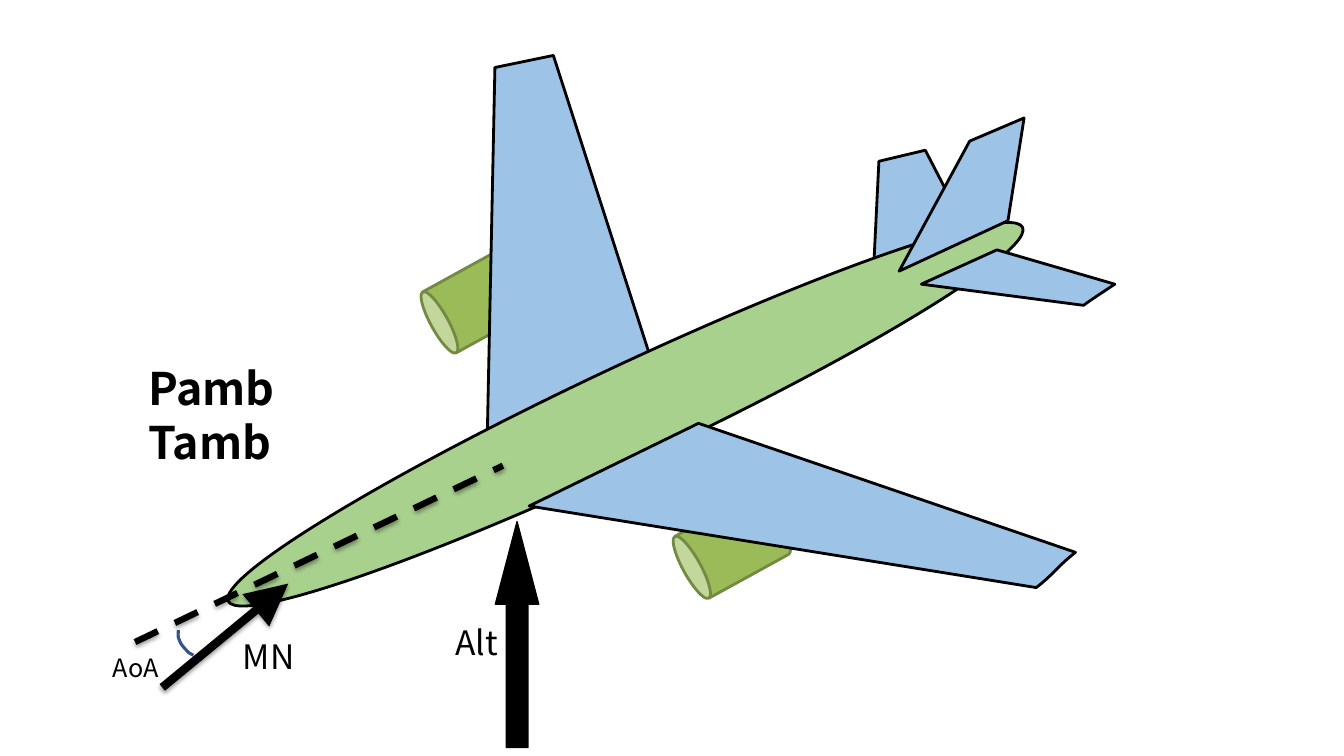
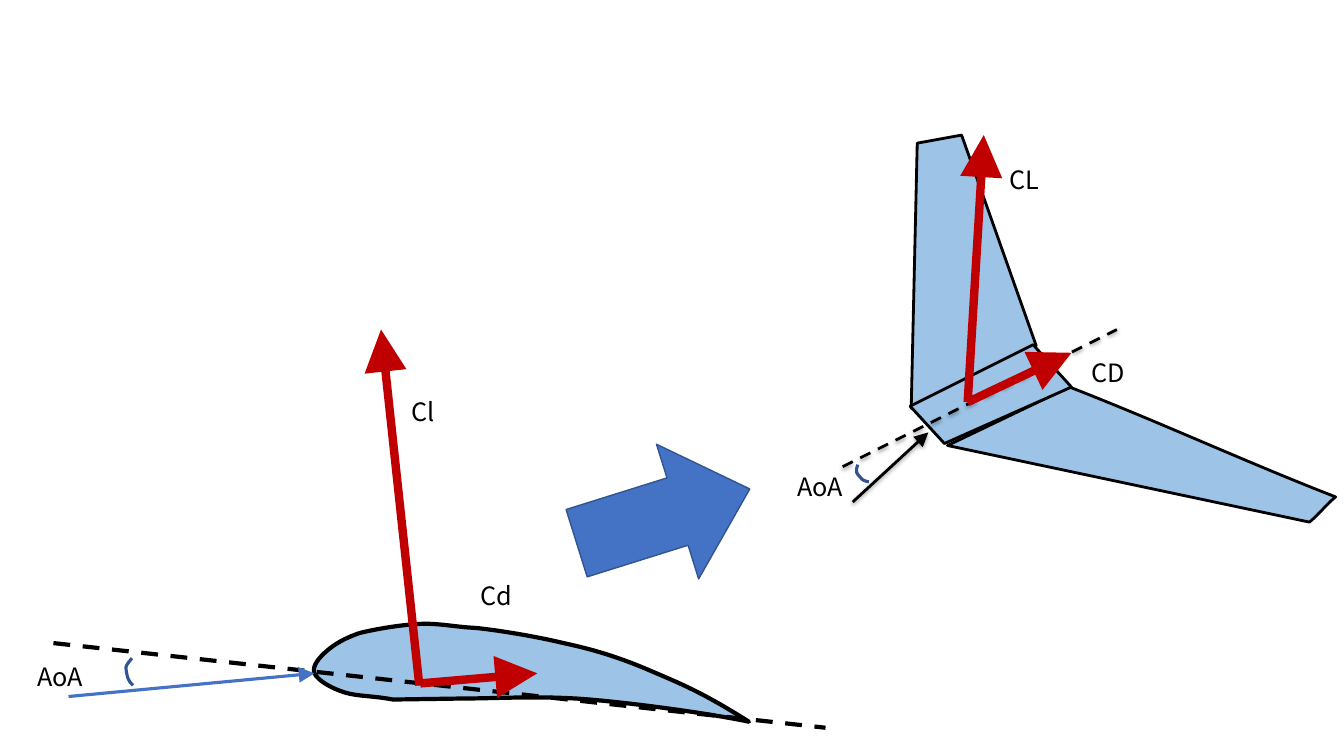
import math

from pptx import Presentation, util as u
from pptx.dml.color import RGBColor
from pptx.enum import dml, shapes, text
from pptx.oxml import parse_xml
from pptx.oxml.ns import nsdecls

FONT = "Noto Sans CJK JP"
BLACK, SKY, GRASS, LEAF, OLIVE = "000000", "9DC3E6", "A9D18E", "9BBB59", "738A42"
BLUE, NAVY, RED = "4472C4", "325491", "C00000"
CAN, OVAL = shapes.MSO_SHAPE.CAN, shapes.MSO_SHAPE.OVAL
ARROW = shapes.MSO_SHAPE.RIGHT_ARROW
UNIT = 1000  # outline units in an inch


def rgb(code):
    """Turn a hex string into a colour."""
    return RGBColor.from_string(code)


def paint(item, fill, line, width):
    """Set fill and outline, and drop the shadow."""
    if fill:
        item.fill.solid()
        item.fill.fore_color.rgb = rgb(fill)
    else:
        item.fill.background()
    item.line.color.rgb = rgb(line)
    item.line.width = u.Pt(width)
    item.shadow.inherit = False


def solid(page, kind, box, turn=0, fill=LEAF, line=BLACK, width=2, adj=()):
    """Add a preset shape, turned by some degrees."""
    item = page.shapes.add_shape(kind, *map(u.Inches, box))
    item.rotation = turn
    for i, value in enumerate(adj):
        item.adjustments[i] = value
    paint(item, fill, line, width)


def spin(point, turn):
    """Turn a point clockwise about the slide's corner."""
    (x, y), a = point, math.radians(turn)
    return x * math.cos(a) - y * math.sin(a), x * math.sin(a) + y * math.cos(a)


def bend(item, parts, left, top):
    """Make a curve of each segment that has three points."""
    for seg, part in zip(item._element.xpath(".//a:lnTo"), parts):
        if len(part) == 3:
            dots = "".join(f'<a:pt x="{round(x * UNIT - left)}" '
                           f'y="{round(y * UNIT - top)}"/>' for x, y in part)
            seg.getparent().replace(seg, parse_xml(
                f'<a:cubicBezTo {nsdecls("a")}>{dots}</a:cubicBezTo>'))


def outline(page, path, turn=0, fill=SKY, line=BLACK, width=2):
    """Add an outline of points and six-number curves, in a frame that is turned.

    The path tells where the outline shows; without a fill it stays open."""
    if fill and path[-1][-2:] != path[0]:
        path = path + path[:1]
    parts = [[spin(part[i:i + 2], -turn) for i in range(0, len(part), 2)]
             for part in path]
    ends = [tuple(round(v * UNIT) for v in part[-1]) for part in parts]
    pen = page.shapes.build_freeform(*ends[0], scale=u.Inches(1) / UNIT)
    pen.add_line_segments(ends[1:], close=bool(fill))
    item = pen.convert_to_shape()
    bend(item, parts[1:], *map(min, zip(*ends)))
    mid = spin((item.left + item.width / 2, item.top + item.height / 2), turn)
    item.left = round(mid[0] - item.width / 2)
    item.top = round(mid[1] - item.height / 2)
    item.rotation = turn
    paint(item, fill, line, width)


def arc(page, path, turn=0):
    """Add the open curve that marks an angle."""
    outline(page, path, turn, fill=None, line=NAVY, width=2.25)


def ray(page, start, end, color=BLACK, width=2, dash=False, head=True, shade=False):
    """Add a straight line, with an arrowhead unless told otherwise."""
    item = page.shapes.add_connector(shapes.MSO_CONNECTOR.STRAIGHT,
                                     *map(u.Inches, start + end))
    item.line.color.rgb = rgb(color)
    item.line.width = u.Pt(width)
    if dash:
        item.line.dash_style = dml.MSO_LINE.DASH
    if head:
        item.line._get_or_add_ln().append(parse_xml(
            f'<a:tailEnd {nsdecls("a")} type="triangle" w="lg" len="lg"/>'))
    glow = ('<a:outerShdw blurRad="40000" dist="20000" dir="5400000" rotWithShape="0">'
            '<a:srgbClr val="000000"><a:alpha val="38000"/></a:srgbClr>'
            '</a:outerShdw>') if shade else ""
    item._element.spPr.append(
        parse_xml(f'<a:effectLst {nsdecls("a")}>{glow}</a:effectLst>'))


def label(page, words, box, size=18, bold=False):
    """Add a text box, one paragraph for each line of words."""
    frame = page.shapes.add_textbox(*map(u.Inches, box)).text_frame
    frame.word_wrap = True
    frame.auto_size = text.MSO_AUTO_SIZE.SHAPE_TO_FIT_TEXT
    frame.text = words
    for para in frame.paragraphs:
        font = para.runs[0].font
        font.name, font.size, font.bold = FONT, u.Pt(size), bold
        font.color.rgb = rgb(BLACK)


# Each part: the function, its values, its format; listed from back to front.
ENGINE = dict(turn=241.2, line=OLIVE)
FORCE = dict(color=RED, width=6)
NEAR = dict(turn=52.5)
TILT = dict(turn=331.5)

PLANE = [
    (solid, (CAN, (4.43, 2.41, 0.69, 1.12)), ENGINE),
    (solid, (CAN, (6.91, 4.87, 0.7, 1.08)), ENGINE),
    (outline, ([(4.91, 0.67), (5.49, 0.55), (6.48, 3.63), (4.83, 4.53)],), {}),
    (outline, ([(8.72, 1.6), (9.18, 1.49), (9.63, 2.36), (8.67, 2.61)],), {}),
    (solid, (OVAL, (1.85, 3.64, 8.71, 0.94)), dict(turn=334.8, fill=GRASS)),
    (outline, ([(9.62, 1.4), (10.16, 1.17), (10, 2.19), (8.92, 2.69)],), {}),
    (outline, ([(6.93, 4.2), (10.67, 5.48), (10.5, 5.61, 10.45, 5.7, 10.28, 5.83),
                (5.25, 5.02)],), NEAR),
    (outline, ([(9.89, 2.48), (11.06, 2.82), (11, 2.86, 10.8, 2.99, 10.75, 3.03),
                (9.14, 2.82)],), NEAR),
    (ray, ((1.34, 6.37), (4.99, 4.62)),
     dict(width=4.5, dash=True, head=False, shade=True)),
    (ray, ((1.61, 6.82), (2.86, 5.79)), dict(width=6, shade=True)),
    (label, ("AoA", (1.02, 6.42, 0.9, 0.4)), {}),
    (arc, ([(1.77, 6.25), (1.77, 6.28, 1.76, 6.32, 1.78, 6.35),
            (1.79, 6.39, 1.83, 6.43, 1.85, 6.45),
            (1.87, 6.48, 1.9, 6.49, 1.92, 6.5)],), TILT),
    (label, ("MN", (2.31, 6.26, 0.92, 0.5)), dict(size=24)),
    (solid, (ARROW, (4.01, 6.08, 2.24, 0.43)),
     dict(turn=270, fill=BLACK, width=1, adj=(0.5, 1.904))),
    (label, ("Alt", (4.42, 6.12, 0.92, 0.5)), dict(size=24)),
    (label, ("Pamb\nTamb", (1.37, 3.53, 1.82, 1.18)), dict(size=32, bold=True)),
]

WING = [
    (outline, ([(9.1, 1.42), (9.54, 1.34), (10.28, 3.43), (9.04, 4.05)],), {}),
    (outline, ([(10.61, 3.84), (11.51, 4.19, 12.35, 4.58, 13.25, 4.93),
                (13.14, 5.02, 13.1, 5.09, 12.99, 5.18), (9.4, 4.42)],), NEAR),
    (ray, ((8.46, 4.98), (9.21, 4.29)), dict(shade=True)),
    (outline, ([(9.03, 4.03), (10.25, 3.42), (10.63, 3.84), (9.37, 4.4)],), {}),
    (ray, ((8.36, 4.63), (11.08, 3.27)), dict(dash=True, head=False, shade=True)),
    (label, ("AoA", (7.81, 4.63, 0.9, 0.4)), {}),
    (arc, ([(8.51, 4.61), (8.5, 4.64, 8.49, 4.67, 8.5, 4.69),
            (8.51, 4.71, 8.54, 4.74, 8.56, 4.76),
            (8.58, 4.77, 8.6, 4.78, 8.62, 4.78)],), TILT),
    (ray, ((9.6, 3.99), (9.76, 1.34)), FORCE),
    (ray, ((9.6, 3.99), (10.63, 3.5)), FORCE),
    (label, ("CL", (9.92, 1.58, 0.61, 0.4)), {}),
    (label, ("CD", (10.73, 3.5, 0.66, 0.4)), {}),
    (outline, ([(3.12, 6.68), (3.09, 6.61, 3.17, 6.52, 3.24, 6.46),
                (3.32, 6.39, 3.42, 6.33, 3.57, 6.28),
                (3.73, 6.24, 3.97, 6.2, 4.16, 6.19),
                (4.35, 6.18, 4.51, 6.22, 4.72, 6.23),
                (4.92, 6.25, 5.3, 6.31, 5.59, 6.38),
                (5.87, 6.44, 6.11, 6.51, 6.42, 6.64),
                (6.72, 6.77, 6.94, 6.85, 7.43, 7.16),
                (7.05, 7.08, 6.32, 6.98, 5.85, 6.94),
                (5.38, 6.9, 4.93, 6.93, 4.6, 6.93), (3.9, 6.94),
                (3.68, 6.9, 3.55, 6.91, 3.42, 6.87),
                (3.29, 6.83, 3.15, 6.75, 3.12, 6.68)],), dict(width=3)),
    (ray, ((0.53, 6.38), (8.19, 7.22)), dict(width=3, dash=True, head=False)),
    (ray, ((0.68, 6.91), (3.12, 6.68)), dict(color=BLUE, width=2.25)),
    (ray, ((4.16, 6.8), (3.78, 3.27)), FORCE),
    (ray, ((4.17, 6.78), (5.33, 6.68)), FORCE),
    (arc, ([(1.31, 6.53), (1.29, 6.56, 1.26, 6.58, 1.25, 6.62),
            (1.25, 6.65, 1.26, 6.7, 1.27, 6.73),
            (1.28, 6.76, 1.3, 6.78, 1.32, 6.8)],), {}),
    (label, ("AoA", (0.27, 6.51, 0.7, 0.33)), {}),
    (label, ("Cl", (3.98, 3.88, 0.48, 0.4)), {}),
    (label, ("Cd", (4.67, 5.71, 0.66, 0.4)), {}),
    (solid, (ARROW, (5.68, 4.42, 1.8, 1.4)),
     dict(turn=342.6, fill=BLUE, line=NAVY, width=1, adj=(0.5, 0.536))),
]

deck = Presentation()
deck.slide_width, deck.slide_height = u.Inches(40 / 3), u.Inches(7.5)
for parts in (PLANE, WING):
    page = deck.slides.add_slide(deck.slide_layouts[6])
    for draw, values, form in parts:
        draw(page, *values, **form)
deck.save("out.pptx")
